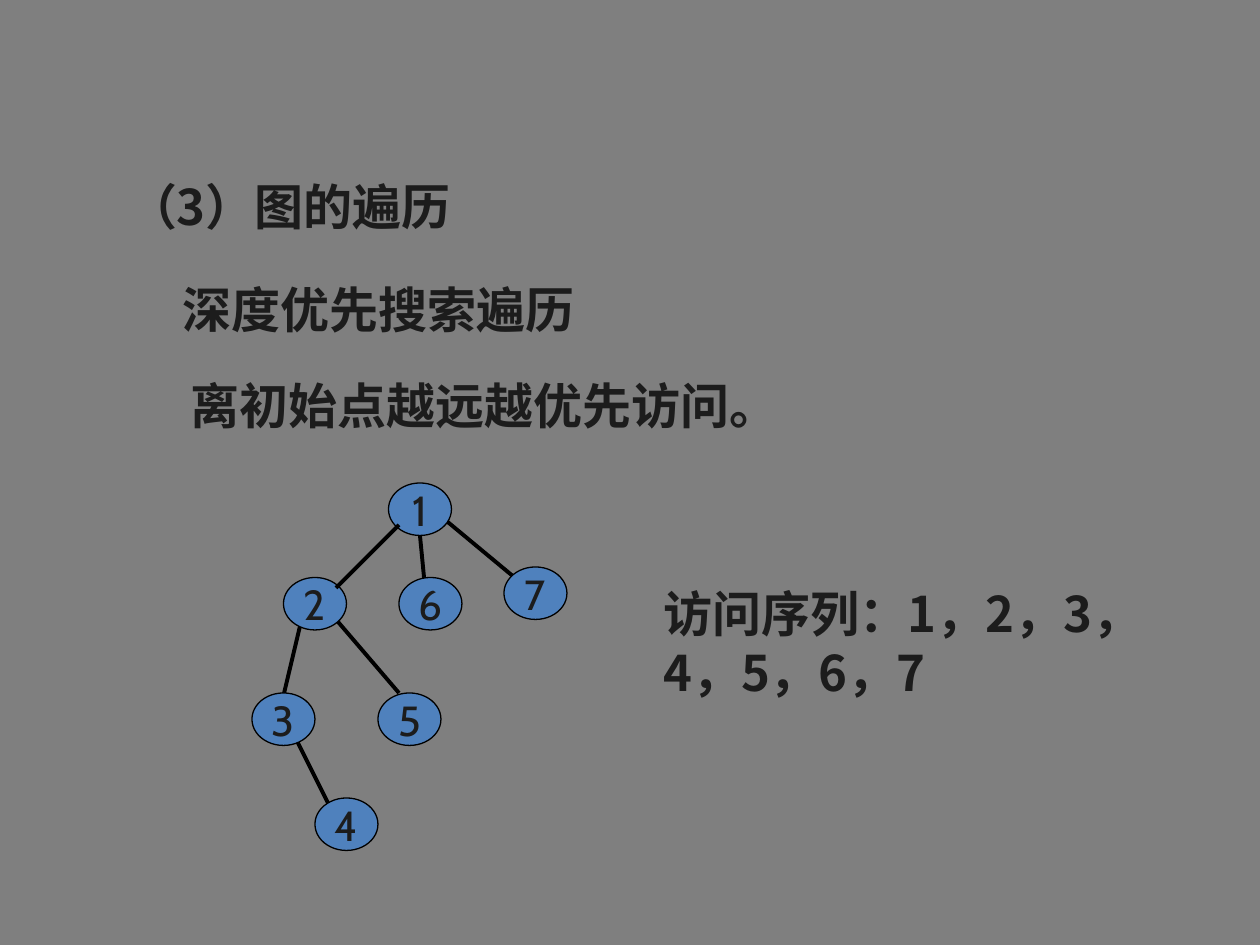
from lxml import etree
from pptx import Presentation
from pptx.dml.color import RGBColor
from pptx.enum import shapes, text
from pptx.oxml import ns
from pptx.util import Pt

CJK = "Noto Sans CJK SC"
INK = "1C1C1C"
BLACK = "000000"
NODE_WIDTH, NODE_HEIGHT = 36, 30
NODES = {
    "1": (222, 276),
    "2": (162, 330),
    "6": (228, 330),
    "7": (288, 324),
    "3": (144, 396),
    "5": (216, 396),
    "4": (180, 456),
}
EDGES_BEHIND = [
    (251.3, 294.5, 293.8, 329.8),
    (172.8, 352, 161.5, 399.6),
    (192, 354, 228, 396),
    (168, 420, 192, 468),
    (240, 306, 243, 337),
]
EDGE_IN_FRONT = (228, 300, 192, 336)


def color(value):
    return RGBColor.from_string(value)


def write(shape, content, size=28, font=CJK, bold=True, align=text.PP_ALIGN.LEFT,
          anchor=text.MSO_ANCHOR.TOP, before=17.5, wrap=True, left=7.2, top=3.6):
    frame = shape.text_frame
    frame.auto_size = text.MSO_AUTO_SIZE.NONE
    frame.word_wrap = wrap
    frame.vertical_anchor = anchor
    frame.margin_left, frame.margin_right = Pt(left), Pt(7.2)
    frame.margin_top, frame.margin_bottom = Pt(top), Pt(3.6)
    paragraph = frame.paragraphs[0]
    paragraph.alignment = align
    paragraph.space_before = Pt(before)
    run = paragraph.add_run()
    run.text = content
    run.font.size = Pt(size)
    run.font.bold = bold
    run.font.name = font
    run.font.color.rgb = color(INK)
    etree.SubElement(run.font._element, ns.qn("a:ea"), typeface=font)


def add_title(slide, content, x, y, width, height):
    title = slide.shapes.title
    title.left, title.top = Pt(x), Pt(y)
    title.width, title.height = Pt(width), Pt(height)
    write(title, content)


def add_text(slide, content, x, y, width, height, **style):
    box = slide.shapes.add_textbox(Pt(x), Pt(y), Pt(width), Pt(height))
    write(box, content, **style)


def add_edge(slide, x1, y1, x2, y2):
    edge = slide.shapes.add_connector(
        shapes.MSO_CONNECTOR.STRAIGHT, Pt(x1), Pt(y1), Pt(x2), Pt(y2))
    edge.line.color.rgb = color(BLACK)
    edge.line.width = Pt(2.25)
    etree.SubElement(edge._element.spPr, ns.qn("a:effectLst"))


def add_node(slide, label, x, y):
    node = slide.shapes.add_shape(
        shapes.MSO_SHAPE.OVAL, Pt(x), Pt(y), Pt(NODE_WIDTH), Pt(NODE_HEIGHT))
    node.shadow.inherit = False
    node.fill.solid()
    node.fill.fore_color.rgb = color("4F81BD")
    node.line.color.rgb = color(BLACK)
    node.line.width = Pt(0.75)
    write(node, label, size=24, font="Cabin", bold=False, before=0, wrap=False,
          align=text.PP_ALIGN.CENTER, anchor=text.MSO_ANCHOR.MIDDLE)


def main():
    presentation = Presentation()
    presentation.slide_width, presentation.slide_height = Pt(720), Pt(540)
    slide = presentation.slides.add_slide(presentation.slide_layouts[5])
    slide.background.fill.solid()
    slide.background.fill.fore_color.rgb = color("7F7F7F")

    add_title(slide, "（3）图的遍历", 66, 97, 246, 41)
    add_text(slide, "深度优先搜索遍历", 60, 152.5, 354, 46, before=20, left=44.5, top=7)
    add_text(slide, "离初始点越远越优先访问。", 102, 211, 390, 41,
             align=text.PP_ALIGN.JUSTIFY)
    for edge in EDGES_BEHIND:
        add_edge(slide, *edge)
    for label, position in NODES.items():
        add_node(slide, label, *position)
    add_edge(slide, *EDGE_IN_FRONT)
    add_text(slide, "访问序列：1，2，3，4，5，6，7", 372, 330, 294, 75)

    presentation.save("out.pptx")


if __name__ == "__main__":
    main()
